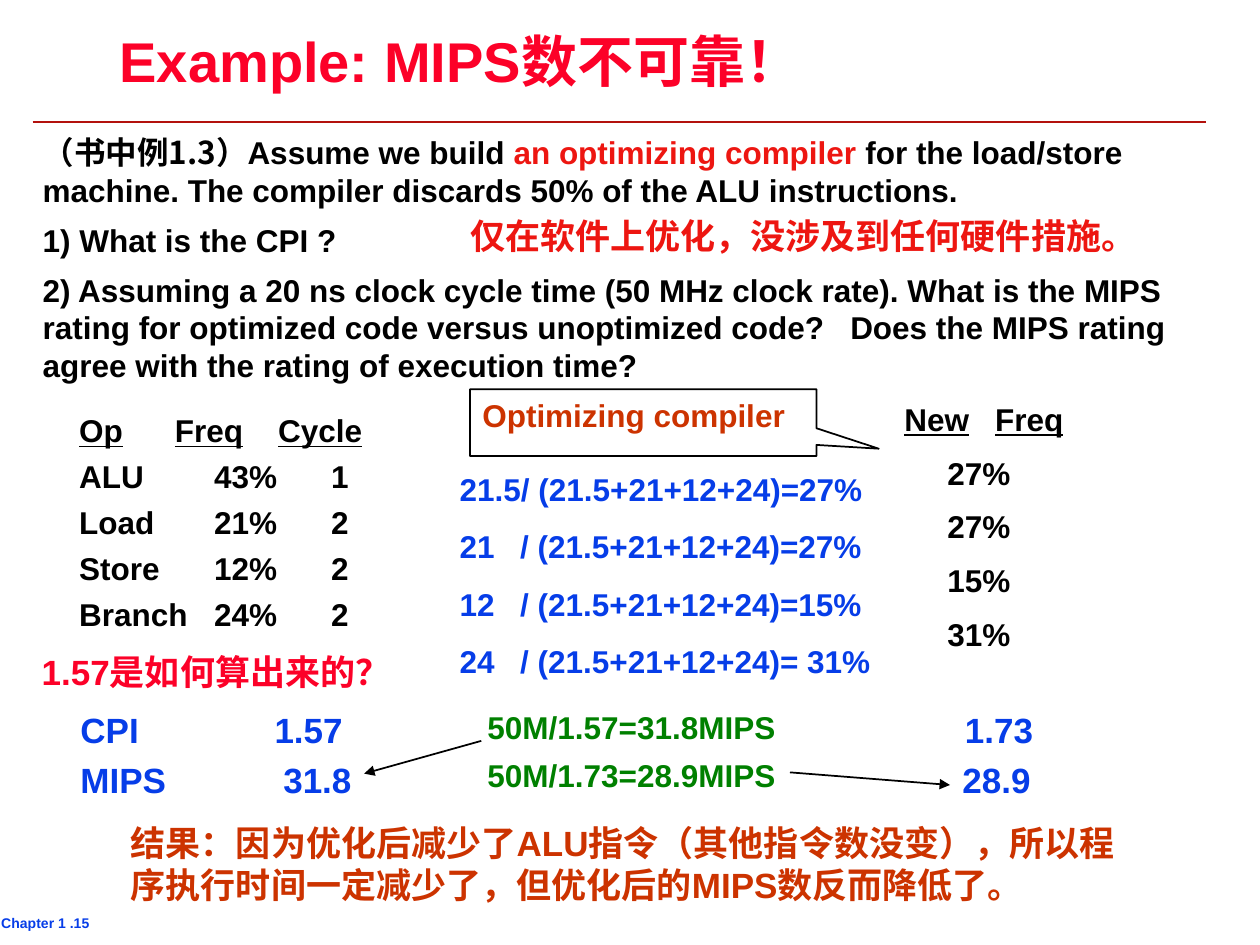
import dataclasses

import lxml.etree
import pptx
import pptx.dml.color
import pptx.enum.shapes
import pptx.enum.text
import pptx.oxml.ns
import pptx.util


@dataclasses.dataclass(frozen=True)
class Theme:
    latin: str = "Arial"
    chinese: str = "Noto Sans CJK SC"
    title: int = 32
    large: int = 20
    body: int = 18
    footer: int = 8
    black: str = "000000"
    crimson: str = "FC0128"
    red: str = "ED1611"
    rule: str = "B3110D"
    rust: str = "CC3300"
    blue: str = "063DE8"
    green: str = "008000"


theme = Theme()
qn = pptx.oxml.ns.qn
presentation = pptx.Presentation()
presentation.slide_width = pptx.util.Inches(10)
presentation.slide_height = pptx.util.Inches(7.5)
slide = presentation.slides.add_slide(presentation.slide_layouts[6])
column = presentation.slide_width / 100
row = presentation.slide_height / 75


def grid(left, top, width, height):
    return [round(left * column), round(top * row), round(width * column), round(height * row)]


def write(frame, paragraphs, size, color, before=0, spacing=None, align="LEFT", inset=(1, 0.5)):
    frame.word_wrap = True
    frame.vertical_anchor = pptx.enum.text.MSO_ANCHOR.TOP
    frame.margin_left = frame.margin_right = round(inset[0] * column)
    frame.margin_top = frame.margin_bottom = round(inset[1] * row)
    for index, (stops, runs) in enumerate(paragraphs):
        paragraph = frame.paragraphs[0] if index == 0 else frame.add_paragraph()
        paragraph.alignment = getattr(pptx.enum.text.PP_ALIGN, align)
        if spacing:
            paragraph.line_spacing = spacing
        if index and before:
            paragraph.space_before = pptx.util.Pt(before)
        if stops:
            properties = paragraph._p.get_or_add_pPr()
            tabs = lxml.etree.SubElement(properties, qn("a:tabLst"))
            for stop in stops:
                lxml.etree.SubElement(tabs, qn("a:tab"), pos=str(round(stop * column)), algn="l")
        for text, changes in runs:
            run = paragraph.add_run()
            run.text = text
            run.font.size = pptx.util.Pt(size)
            run.font.bold = True
            run.font.underline = changes.get("underline", False)
            run.font.name = changes.get("font", theme.latin)
            run.font.color.rgb = pptx.dml.color.RGBColor.from_string(changes.get("color", color))
            east_asian = lxml.etree.Element(qn("a:ea"), typeface=theme.chinese)
            run.font._element.find(qn("a:latin")).addnext(east_asian)


underlined = {"underline": True}
operations = [("ALU", "43%", "1"), ("Load", "21%", "2"), ("Store", "12%", "2"), ("Branch", "24%", "2")]
new_frequencies = ["27%", "27%", "15%", "31%"]
total = "/ (21.5+21+12+24)="

problem = [
    ([], [
        ("（", {}),
        ("书中例1.3", {"font": theme.chinese}),
        ("）Assume we build ", {}),
        ("an optimizing compiler", {"color": theme.red}),
        (" for the load/store machine. The compiler discards 50% of the ALU instructions.", {}),
    ]),
    ([], [("1) What is the CPI ?", {})]),
    ([64.1], [(
        "2) Assuming a 20 ns clock cycle time (50 MHz clock rate). What is the MIPS rating "
        "for optimized code versus unoptimized code?\tDoes the MIPS rating agree with "
        "the rating of execution time?", {})]),
]
mix = [([7.6, 15.8, 23.9], [("Op\tFreq\tCycle\t", underlined)])]
mix += [([10.7, 20], [("\t".join(cells), {})]) for cells in operations]
new_mix = [([7.2, 15.3], [("New\tFreq\t", underlined)])]
new_mix += [([3.4], [("\t" + share, {})]) for share in new_frequencies]
shares = [([4.8], [(count + total + share, {})]) for count, share in
          zip(["21.5", "21\t", "12\t", "24\t"], ["27%", "27%", "15%", " 31%"])]
ratings = [([15.4, 70.2], [("CPI\t1.57\t1.73", {})]), ([16.1, 70], [("MIPS\t31.8\t28.9", {})])]
calculations = [([], [(f"50M/{cpi}MIPS", {})]) for cpi in ["1.57=31.8", "1.73=28.9"]]
conclusion = "结果：因为优化后减少了ALU指令（其他指令数没变），所以程序执行时间一定减少了，但优化后的MIPS数反而降低了。"

texts = [
    ((0.1, 72.3, 12, 1.9), [([], [("Chapter 1 .15", {})])], theme.footer, theme.blue,
     {"inset": (0, 0.3)}),
    ((8.8, 2.5, 70.9, 5.2), [([], [("Example: MIPS数不可靠！", {})])], theme.title, theme.crimson,
     {"spacing": 0.87, "inset": (0.7, 0.3)}),
    ((2.4, 10.1, 97.6, 20.9), problem, theme.body, theme.black, {"before": 6.8}),
    ((5.3, 32.5, 28.5, 18.3), mix, theme.body, theme.black, {"before": 6.8, "spacing": 0.9}),
    ((70.8, 31.6, 17.5, 20.8), new_mix, theme.body, theme.black, {"before": 11.2, "spacing": 0.9}),
    ((5.4, 55.7, 79.5, 8.4), ratings, theme.large, theme.blue, {"before": 4.6}),
    ((9.4, 64.7, 81.2, 7.7), [([], [(conclusion, {})])], theme.large, theme.rust, {}),
    ((35.5, 36.8, 35.2, 17.7), shares, theme.body, theme.blue, {"before": 11.2}),
    ((37.7, 55.7, 32.5, 7.8), calculations, theme.body, theme.green, {"before": 5.6}),
    ((32.2, 16.5, 63.1, 4.4),
     [([], [("仅在软件上优化，没涉及到任何硬件措施。", {"font": theme.chinese})])],
     theme.large, theme.red, {"align": "CENTER"}),
    ((1.9, 51.1, 30.5, 4.4), [([], [("1.57是如何算出来的？", {})])], theme.large, theme.crimson,
     {"align": "CENTER"}),
]
for place, paragraphs, size, color, options in texts:
    shape = slide.shapes.add_textbox(*grid(*place))
    write(shape.text_frame, paragraphs, size, color, **options)

callout = slide.shapes.add_shape(
    pptx.enum.shapes.MSO_SHAPE.RECTANGULAR_CALLOUT, *grid(37.3, 30.9, 27.5, 5.3))
callout.shadow.inherit = False
callout.adjustments[0] = 0.68
callout.adjustments[1] = 0.39
callout.fill.background()
callout.line.color.rgb = pptx.dml.color.RGBColor.from_string(theme.black)
callout.line.width = pptx.util.Pt(1)
write(callout.text_frame, [([], [("Optimizing compiler", {})])], theme.body, theme.rust)

lines = [
    ((2.6, 9.7, 95.7, 9.7), theme.rule, False),
    ((38.2, 58.8, 28.9, 61.4), theme.black, True),
    ((62.7, 61.3, 75.4, 62.3), theme.black, True),
]
for ends, color, arrow in lines:
    connector = slide.shapes.add_connector(pptx.enum.shapes.MSO_CONNECTOR.STRAIGHT, *grid(*ends))
    connector.line.color.rgb = pptx.dml.color.RGBColor.from_string(color)
    connector.line.width = pptx.util.Pt(1)
    if arrow:
        lxml.etree.SubElement(connector.line._get_or_add_ln(), qn("a:tailEnd"), type="triangle")
    lxml.etree.SubElement(connector._element.spPr, qn("a:effectLst"))

presentation.save("out.pptx")
